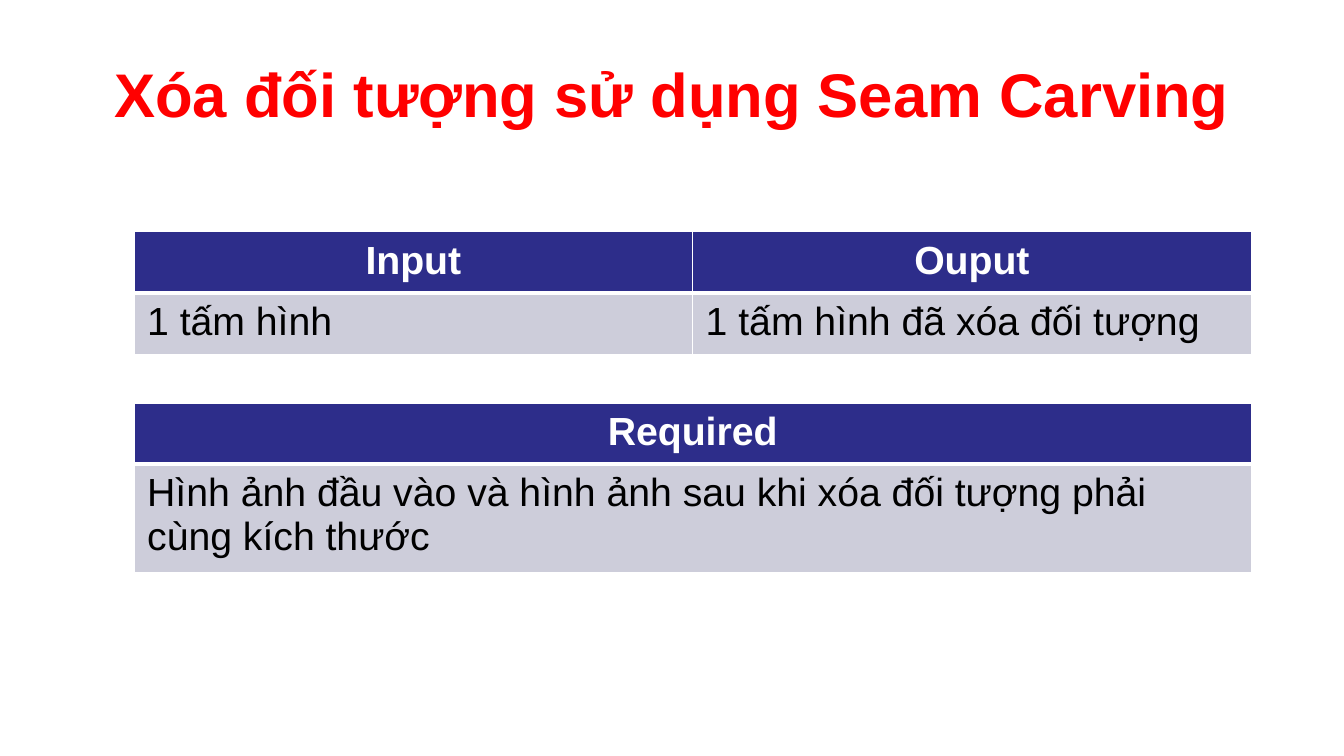
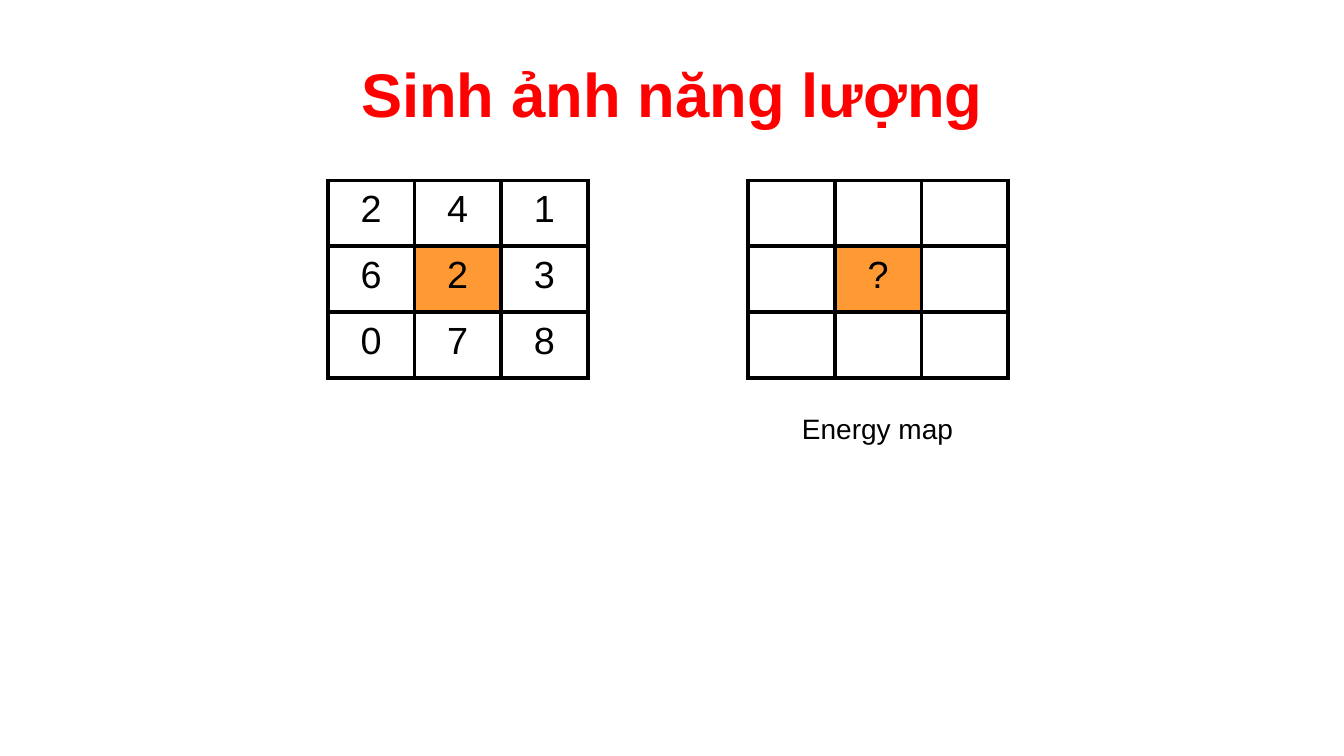
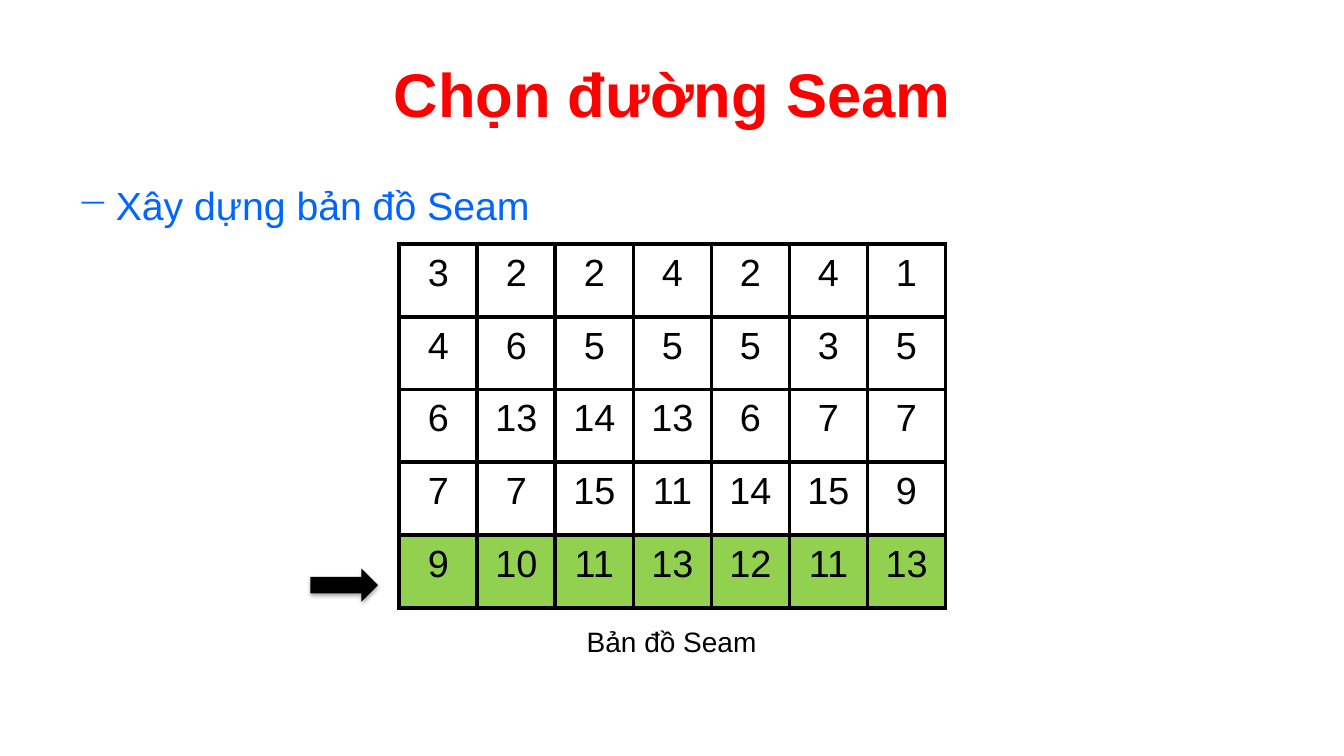
from lxml import etree
from pptx import Presentation
from pptx.dml.color import RGBColor
from pptx.enum.shapes import MSO_SHAPE
from pptx.enum.text import MSO_ANCHOR, MSO_AUTO_SIZE, PP_ALIGN
from pptx.oxml import parse_xml
from pptx.oxml.ns import nsdecls, qn
from pptx.util import Inches, Pt

WHITE = RGBColor(0xFF, 0xFF, 0xFF)
BLACK = RGBColor(0x00, 0x00, 0x00)
RED = RGBColor(0xFF, 0x00, 0x00)
BLUE = RGBColor(0x00, 0x66, 0xFF)
NAVY = RGBColor(0x2D, 0x2D, 0x8A)
GREY = RGBColor(0xCD, 0xCD, 0xDA)
ORANGE = RGBColor(0xFF, 0x99, 0x33)
GREEN = RGBColor(0x92, 0xD0, 0x50)

TITLE_FONT = {"size": Pt(44), "bold": True, "color": RED}
HEADER_FONT = {"size": Pt(28), "bold": True, "color": WHITE}
BODY_FONT = {"size": Pt(28), "color": BLACK}
NUMBER_FONT = {"size": Pt(27), "color": BLACK}
CAPTION_FONT = {"size": Pt(20), "color": BLACK}
BULLET_FONT = {"size": Pt(28), "color": BLUE}

MARGIN, CONTENT_WIDTH = 0.67, 12
CAPTION_HEIGHT = 0.44

# (top, header row, body row)
PROBLEM_TABLES = [
    (2.3, ["Input", "Ouput"], ["1 tấm hình", "1 tấm hình đã xóa đối tượng"]),
    (4, ["Required"],
     ["Hình ảnh đầu vào và hình ảnh sau khi xóa đối tượng phải cùng kích thước"]),
]
PIXELS = [["2", "4", "1"], ["6", "2", "3"], ["0", "7", "8"]]
ENERGY_MAP = [["", "", ""], ["", "?", ""], ["", "", ""]]
SEAM_MAP = [
    [3, 2, 2, 4, 2, 4, 1],
    [4, 6, 5, 5, 5, 3, 5],
    [6, 13, 14, 13, 6, 7, 7],
    [7, 7, 15, 11, 14, 15, 9],
    [9, 10, 11, 13, 12, 11, 13],
]


def write(paragraph, text, font, align=PP_ALIGN.LEFT):
    paragraph.alignment = align
    run = paragraph.add_run()
    run.text = text
    run.font.name = "Arial"
    for name, value in font.items():
        if name == "color":
            run.font.color.rgb = value
        else:
            setattr(run.font, name, value)


def add_text(slide, box, text, font, align=PP_ALIGN.LEFT):
    shape = slide.shapes.add_textbox(*map(Inches, box))
    shape.text_frame.word_wrap = True
    write(shape.text_frame.paragraphs[0], text, font, align)
    return shape


def add_titled_slide(presentation, title):
    slide = presentation.slides.add_slide(presentation.slide_layouts[6])
    box = (MARGIN, 0.3, CONTENT_WIDTH, 1.25)
    shape = add_text(slide, box, title, TITLE_FONT, PP_ALIGN.CENTER)
    shape.text_frame.vertical_anchor = MSO_ANCHOR.MIDDLE
    return slide


def add_caption(slide, center, top, width, text):
    box = (center - width / 2, top, width, CAPTION_HEIGHT)
    frame = add_text(slide, box, text, CAPTION_FONT).text_frame
    frame.word_wrap = False
    frame.auto_size = MSO_AUTO_SIZE.SHAPE_TO_FIT_TEXT


def add_bullet(slide, box, text):
    paragraph = add_text(slide, box, text, BULLET_FONT).text_frame.paragraphs[0]
    properties = paragraph._p.get_or_add_pPr()
    properties.set("marL", str(Inches(0.38)))
    properties.set("indent", str(-Inches(0.38)))
    etree.SubElement(properties, qn("a:buChar")).set("char", "─")


def set_borders(cell, color, widths):
    """Draw the borders in the order left, right, top, bottom, in points."""
    properties = cell._tc.get_or_add_tcPr()
    for side, width in zip("LRTB", widths):
        properties.append(parse_xml(
            f'<a:ln{side} {nsdecls("a")} w="{Pt(width)}"><a:solidFill>'
            f'<a:srgbClr val="{color}"/></a:solidFill></a:ln{side}>'))


def add_plain_table(slide, box, row_count, column_count):
    left, top, width, height = map(Inches, box)
    table = slide.shapes.add_table(
        row_count, column_count, left, top, width, height).table
    table.first_row = table.horz_banding = False
    for column in table.columns:
        column.width = width // column_count
    for row in table.rows:
        row.height = height // row_count
    return table


def format_cell(cell, insets, border_color, border_widths, fill):
    cell.margin_left = cell.margin_right = Inches(insets[0])
    cell.margin_top = cell.margin_bottom = Inches(insets[1])
    set_borders(cell, border_color, border_widths)
    if fill is None:
        cell.fill.background()
    else:
        cell.fill.solid()
        cell.fill.fore_color.rgb = fill


def add_problem_table(slide, top, header, body):
    styles = [
        (header, HEADER_FONT, PP_ALIGN.CENTER, NAVY, (1, 1, 1, 3)),
        (body, BODY_FONT, PP_ALIGN.LEFT, GREY, (1, 1, 3, 1)),
    ]
    table = add_plain_table(slide, (1.33, top, 11.08, 1.08), 2, len(header))
    for row, (texts, font, align, fill, borders) in enumerate(styles):
        for column, text in enumerate(texts):
            cell = table.cell(row, column)
            format_cell(cell, (0.13, 0.07), WHITE, borders, fill)
            write(cell.text_frame.paragraphs[0], text, font, align)


def add_number_grid(slide, box, values, highlight, is_highlighted):
    table = add_plain_table(slide, box, len(values), len(values[0]))
    for row, row_values in enumerate(values):
        for column, value in enumerate(row_values):
            cell = table.cell(row, column)
            fill = highlight if is_highlighted(row, column) else None
            format_cell(cell, (0.15, 0.08), BLACK, (3, 3, 3, 3), fill)
            if value != "":
                write(cell.text_frame.paragraphs[0], str(value),
                      NUMBER_FONT, PP_ALIGN.CENTER)


def add_row_arrow(slide, box):
    arrow = slide.shapes.add_shape(MSO_SHAPE.RIGHT_ARROW, *map(Inches, box))
    arrow.fill.solid()
    arrow.fill.fore_color.rgb = BLACK
    arrow.line.fill.background()
    arrow._element.spPr.append(parse_xml(
        f'<a:effectLst {nsdecls("a")}><a:outerShdw blurRad="{Pt(3.1)}" '
        f'dist="{Pt(1.8)}" dir="5400000" rotWithShape="0">'
        f'<a:srgbClr val="{BLACK}"><a:alpha val="35000"/></a:srgbClr>'
        '</a:outerShdw></a:effectLst>'))


def build_problem_slide(presentation):
    slide = add_titled_slide(presentation, "Xóa đối tượng sử dụng Seam Carving")
    for top, header, body in PROBLEM_TABLES:
        add_problem_table(slide, top, header, body)


def build_energy_slide(presentation):
    slide = add_titled_slide(presentation, "Sinh ảnh năng lượng")
    top, width, height = 1.79, 2.58, 1.96
    energy_left = 7.42
    for left, values in [(3.25, PIXELS), (energy_left, ENERGY_MAP)]:
        add_number_grid(slide, (left, top, width, height), values, ORANGE,
                        lambda row, column: row == column == 1)
    add_caption(slide, energy_left + width / 2, 4.03, 1.71, "Energy map")


def build_seam_slide(presentation):
    slide = add_titled_slide(presentation, "Chọn đường Seam")
    add_bullet(slide, (MARGIN, 1.75, CONTENT_WIDTH, 0.6), "Xây dựng bản đồ Seam")
    left, width = 3.96, 5.42
    last_row = len(SEAM_MAP) - 1
    add_number_grid(slide, (left, 2.42, width, 3.61), SEAM_MAP, GREEN,
                    lambda row, column: row == last_row)
    add_caption(slide, left + width / 2, 6.15, 1.9, "Bản đồ Seam")
    add_row_arrow(slide, (3.08, 5.64, 0.67, 0.33))


def main():
    presentation = Presentation()
    presentation.slide_width = Inches(13.33)
    presentation.slide_height = Inches(7.5)
    build_problem_slide(presentation)
    build_energy_slide(presentation)
    build_seam_slide(presentation)
    presentation.save("out.pptx")


if __name__ == "__main__":
    main()
